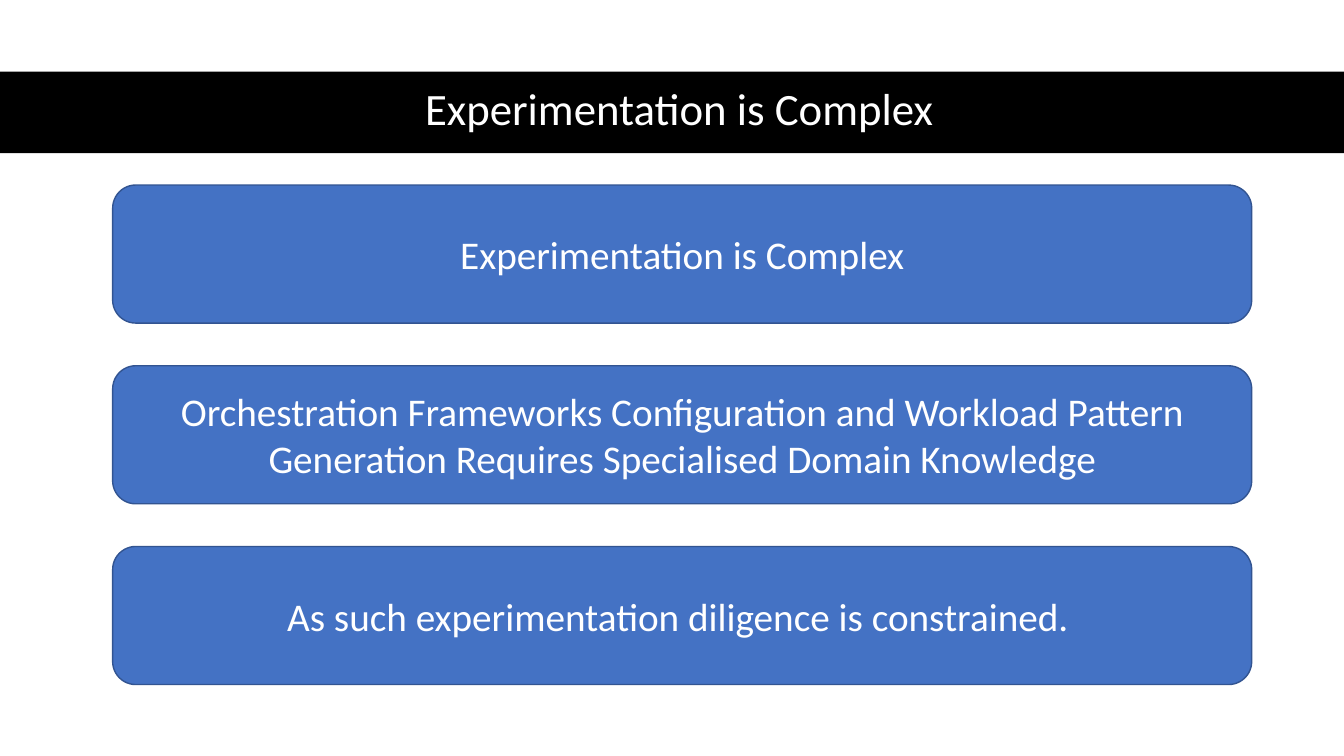
from pptx import Presentation
from pptx.dml.color import RGBColor
from pptx.enum.shapes import MSO_SHAPE
from pptx.enum.text import MSO_ANCHOR, PP_ALIGN
from pptx.util import Pt


def color(hex_code):
    return RGBColor.from_string(hex_code)


def write(frame, text, size, ink="FFFFFF", font="Calibri", spacing=1.0):
    frame.word_wrap = True
    frame.vertical_anchor = MSO_ANCHOR.MIDDLE
    paragraph = frame.paragraphs[0]
    paragraph.alignment = PP_ALIGN.CENTER
    paragraph.line_spacing = spacing
    run = paragraph.add_run()
    run.text = text
    run.font.size = Pt(size)
    run.font.name = font
    run.font.color.rgb = color(ink)


class SlideBuilder:
    band_fill = "000000"
    point_fill = "4472C4"
    point_line = "325491"

    def __init__(self, slide):
        self.slide = slide

    def shape(self, preset, left, top, width, height, fill, line=None):
        shape = self.slide.shapes.add_shape(
            preset, Pt(left), Pt(top), Pt(width), Pt(height))
        shape.shadow.inherit = False
        shape.fill.solid()
        shape.fill.fore_color.rgb = color(fill)
        if line:
            shape.line.color.rgb = color(line)
            shape.line.width = Pt(1)
        else:
            shape.line.fill.background()
        return shape

    def band(self, top, width, height):
        band = self.shape(MSO_SHAPE.RECTANGLE, 0, top, width, height, self.band_fill)
        # Send behind the title placeholder
        self.slide.shapes.element.insert(2, band.element)

    def title(self, text, left, top, width, height):
        title = self.slide.shapes.title
        title.left, title.top = Pt(left), Pt(top)
        title.width, title.height = Pt(width), Pt(height)
        write(title.text_frame, text, size=32, spacing=0.9)

    def point(self, text, left, top, width, height):
        point = self.shape(MSO_SHAPE.ROUNDED_RECTANGLE, left, top, width, height,
                           self.point_fill, self.point_line)
        write(point.text_frame, text, size=28)


deck = Presentation()
deck.slide_width, deck.slide_height = Pt(960), Pt(540)
builder = SlideBuilder(deck.slides.add_slide(deck.slide_layouts[5]))

# Title on a full-width band
headline = "Experimentation is Complex"
builder.band(top=51.2, width=960, height=58.2)
builder.title(headline, left=44, top=50.4, width=882.6, height=58.2)

# Stacked key points
points = [
    headline,
    "Orchestration Frameworks Configuration and Workload Pattern "
    "Generation Requires Specialised Domain Knowledge",
    "As such experimentation diligence is constrained. ",
]
first_top, pitch = 132.2, 129.1
for row, text in enumerate(points):
    builder.point(text, left=80.5, top=first_top + row * pitch, width=813.6, height=98.6)

deck.save("out.pptx")
